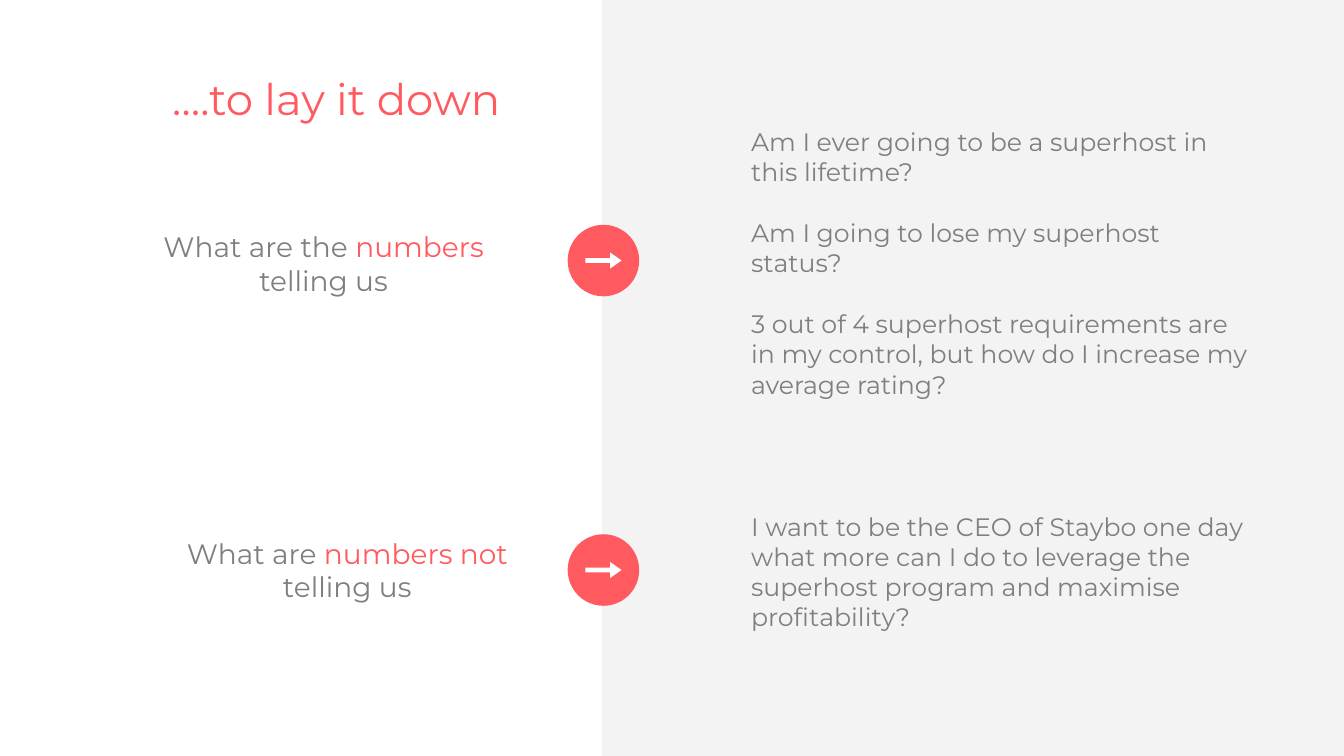
from pptx import Presentation, util as u
from pptx.dml.color import RGBColor
from pptx.enum import shapes, text

COLORS = {"coral": "FF5A5F", "gray": "7F7F7F", "panel": "F3F3F3", "white": "FFFFFF"}
FONT = "Montserrat"
SLIDE_W, SLIDE_H = 13.33, 7.5
PANEL_LEFT = 5.97


def add_block(parent, kind, box, color):
    """Add a flat filled shape without outline."""
    sp = parent.add_shape(kind, *map(u.Inches, box))
    sp.shadow.inherit = False
    sp.fill.solid()
    sp.fill.fore_color.rgb = RGBColor.from_string(COLORS[color])
    sp.line.fill.background()
    return sp


def add_text(s, box, paragraphs, size, align=text.PP_ALIGN.LEFT,
             side=0, top=0.05, bottom=0, gap=0, grow=True):
    """Add a text box of paragraphs, each a list of (wording, color) runs."""
    tf = s.shapes.add_textbox(*map(u.Inches, box)).text_frame
    tf.word_wrap = True
    tf.auto_size = (text.MSO_AUTO_SIZE.SHAPE_TO_FIT_TEXT if grow
                    else text.MSO_AUTO_SIZE.NONE)
    tf.margin_left = tf.margin_right = u.Inches(side)
    tf.margin_top, tf.margin_bottom = u.Inches(top), u.Inches(bottom)
    for i, runs in enumerate(paragraphs):
        p = tf.add_paragraph() if i else tf.paragraphs[0]
        p.alignment = align
        if i and gap:
            p.space_before = u.Pt(gap)
        for wording, color in runs:
            r = p.add_run()
            r.text = wording
            r.font.name = FONT
            r.font.size = u.Pt(size)
            r.font.color.rgb = RGBColor.from_string(COLORS[color])


def add_arrow_badge(s, left, top, size=0.71):
    """Add a coral disc with a white arrow in its middle."""
    group = s.shapes.add_group_shape().shapes
    add_block(group, shapes.MSO_SHAPE.OVAL, (left, top, size, size), "coral")
    width, height = 0.36, 0.16
    arrow = add_block(group, shapes.MSO_SHAPE.RIGHT_ARROW,
                      (left + (size - width) / 2, top + (size - height) / 2,
                       width, height), "white")
    arrow.adjustments[0] = 0.3
    arrow.adjustments[1] = 0.71


def add_question(s, box, emphasis, top_inset):
    """Add a centred question with its key words in coral."""
    lead, key = emphasis
    runs = [(lead, "gray"), (key, "coral"), ("telling us", "gray")]
    add_text(s, box, [runs], 20, text.PP_ALIGN.CENTER, top=top_inset)


def add_answers(s, box, answers):
    """Add gray answers separated by one line of space."""
    add_text(s, box, [[(answer, "gray")] for answer in answers], 18, gap=22)


def main():
    """Build the slide and save it."""
    prs = Presentation()
    prs.slide_width, prs.slide_height = u.Inches(SLIDE_W), u.Inches(SLIDE_H)
    s = prs.slides.add_slide(prs.slide_layouts[6])
    add_block(s.shapes, shapes.MSO_SHAPE.RECTANGLE,
              (PANEL_LEFT, 0, SLIDE_W - PANEL_LEFT, SLIDE_H), "panel")
    add_text(s, (1.61, 0.67, 4.27, 0.71), [[("….to lay it down", "coral")]], 31,
             side=0.1, bottom=0.05, grow=False)

    add_question(s, (1.61, 2.23, 3.2, 0.72), ("What are the ", "numbers "), 0.05)
    add_question(s, (1.61, 5.31, 3.67, 0.69), ("What are ", "numbers not "), 0.01)
    add_answers(s, (7.45, 1.2, 4.97, 2.78), [
        "Am I ever going to be a superhost in this lifetime?",
        "Am I going to lose my superhost status?",
        "3 out of 4 superhost requirements are in my control, "
        "but how do I increase my average rating?",
    ])
    add_answers(s, (7.45, 5.02, 4.97, 1.26), [
        "I want to be the CEO of Staybo one day what more can I do to "
        "leverage the superhost program and maximise profitability?",
    ])
    for top in (2.23, 5.3):
        add_arrow_badge(s, 5.63, top)
    prs.save("out.pptx")


if __name__ == "__main__":
    main()
